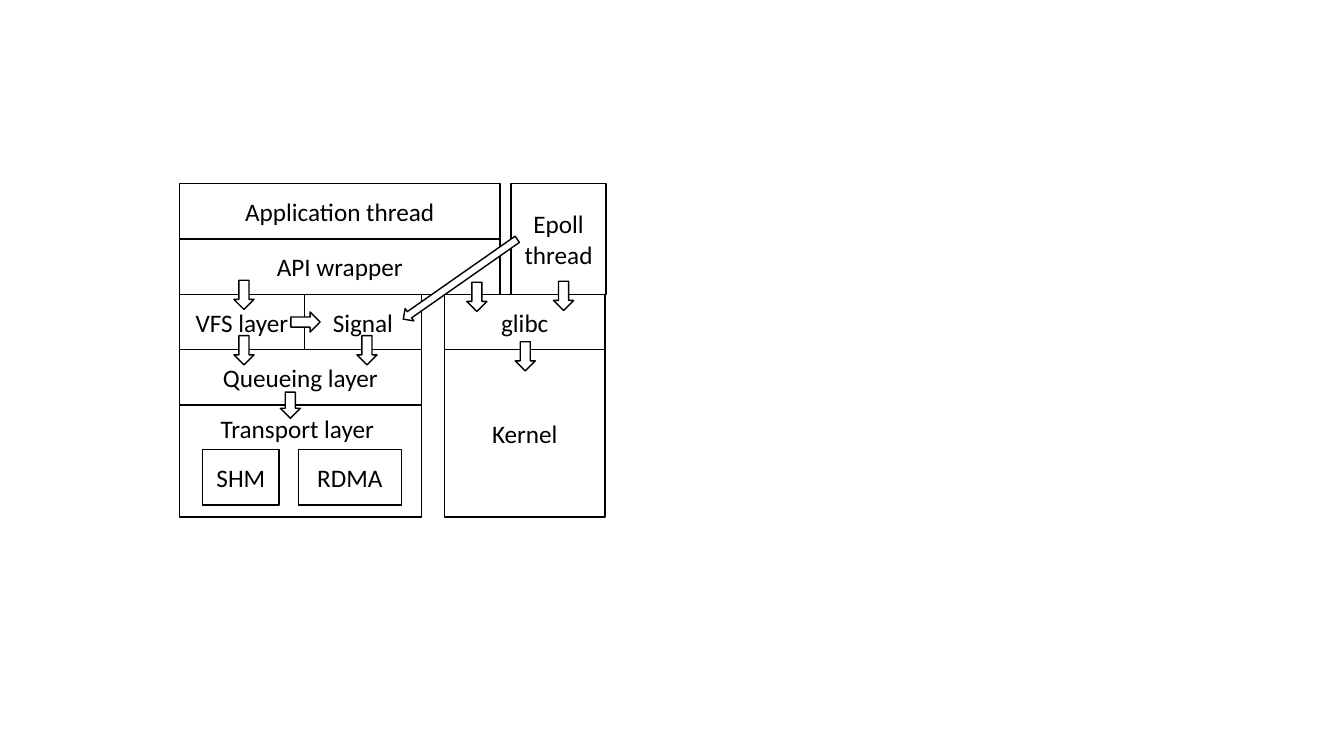
from pptx import Presentation
from pptx.dml.color import RGBColor
from pptx.enum.shapes import MSO_SHAPE as Shape
from pptx.enum.text import MSO_ANCHOR as Anchor, MSO_AUTO_SIZE as AutoSize, PP_ALIGN as Align
from pptx.util import Inches, Pt

BLACK = RGBColor(0x00, 0x00, 0x00)
WHITE = RGBColor(0xFF, 0xFF, 0xFF)
ROW = 0.55  # height of one layer
BASE = 3.31  # bottom of the stack, measured from its top


def format_text(paragraph, text, align):
    paragraph.text = text
    paragraph.alignment = align
    paragraph.font.name = "Calibri"
    paragraph.font.size = Pt(18)
    paragraph.font.color.rgb = BLACK


def add_outlined(slide, kind, left, top, width, height):
    shape = slide.shapes.add_shape(kind, Inches(left), Inches(top), Inches(width), Inches(height))
    shape.shadow.inherit = False
    shape.fill.solid()
    shape.fill.fore_color.rgb = WHITE
    shape.line.color.rgb = BLACK
    shape.line.width = Pt(1)
    return shape


def add_block(slide, text, left, top, width, height=ROW):
    block = add_outlined(slide, Shape.RECTANGLE, left, top, width, height)
    if text:
        block.text_frame.vertical_anchor = Anchor.MIDDLE
        format_text(block.text_frame.paragraphs[0], text, Align.CENTER)


def add_arrow(slide, left, top, width=0.2, height=0.29, rotation=0):
    arrow = add_outlined(slide, Shape.DOWN_ARROW, left, top, width, height)
    arrow.rotation = rotation


def add_transport(slide, left, top, width, height):
    add_block(slide, "", left, top, width, height)
    label = slide.shapes.add_textbox(
        Inches(left + 0.31), Inches(top + 0.03), Inches(1.74), Inches(0.4))
    label.text_frame.word_wrap = False
    label.text_frame.auto_size = AutoSize.SHAPE_TO_FIT_TEXT
    format_text(label.text_frame.paragraphs[0], "Transport layer", Align.LEFT)
    add_block(slide, "SHM", left + 0.23, top + 0.44, 0.76)
    add_block(slide, "RDMA", left + 1.18, top + 0.44, 1.02)


def add_user_stack(slide, left, top):
    # Application layers
    add_block(slide, "Application thread", left, top, 3.18)
    add_block(slide, "API wrapper", left, top + ROW, 3.18)
    # User-space library layers
    add_block(slide, "VFS layer", left, top + 2 * ROW, 1.24)
    add_block(slide, "Signal", left + 1.24, top + 2 * ROW, 1.16)
    add_block(slide, "Queueing layer", left, top + 3 * ROW, 2.4)
    add_transport(slide, left, top + 4 * ROW, 2.4, BASE - 4 * ROW)


def add_system_stack(slide, left, top):
    add_block(slide, "Epoll thread", left + 0.66, top, 0.94, 2 * ROW)
    add_block(slide, "glibc", left, top + 2 * ROW, 1.59)
    add_block(slide, "Kernel", left, top + 3 * ROW, 1.59, BASE - 3 * ROW)


def add_call_arrows(slide, left, top):
    # Calls down to the next layer
    for x, y in [(0.54, 0.96), (0.54, 1.51), (1.76, 1.51),
                 (2.85, 0.98), (3.33, 1.57), (3.71, 0.97)]:
        add_arrow(slide, left + x, top + y)
    add_arrow(slide, left + 1.0, top + 2.07, height=0.26)
    # VFS layer to signal, and epoll thread to signal
    add_arrow(slide, left + 1.15, top + 1.23, rotation=270)
    add_arrow(slide, left + 2.71, top + 0.26, 0.15, 1.38, rotation=55)


def main():
    presentation = Presentation()
    presentation.slide_width = Inches(13.33)
    presentation.slide_height = Inches(7.5)
    slide = presentation.slides.add_slide(presentation.slide_layouts[6])
    add_user_stack(slide, 1.78, 1.82)
    add_system_stack(slide, 4.41, 1.82)
    add_call_arrows(slide, 1.78, 1.82)
    presentation.save("out.pptx")


if __name__ == "__main__":
    main()
